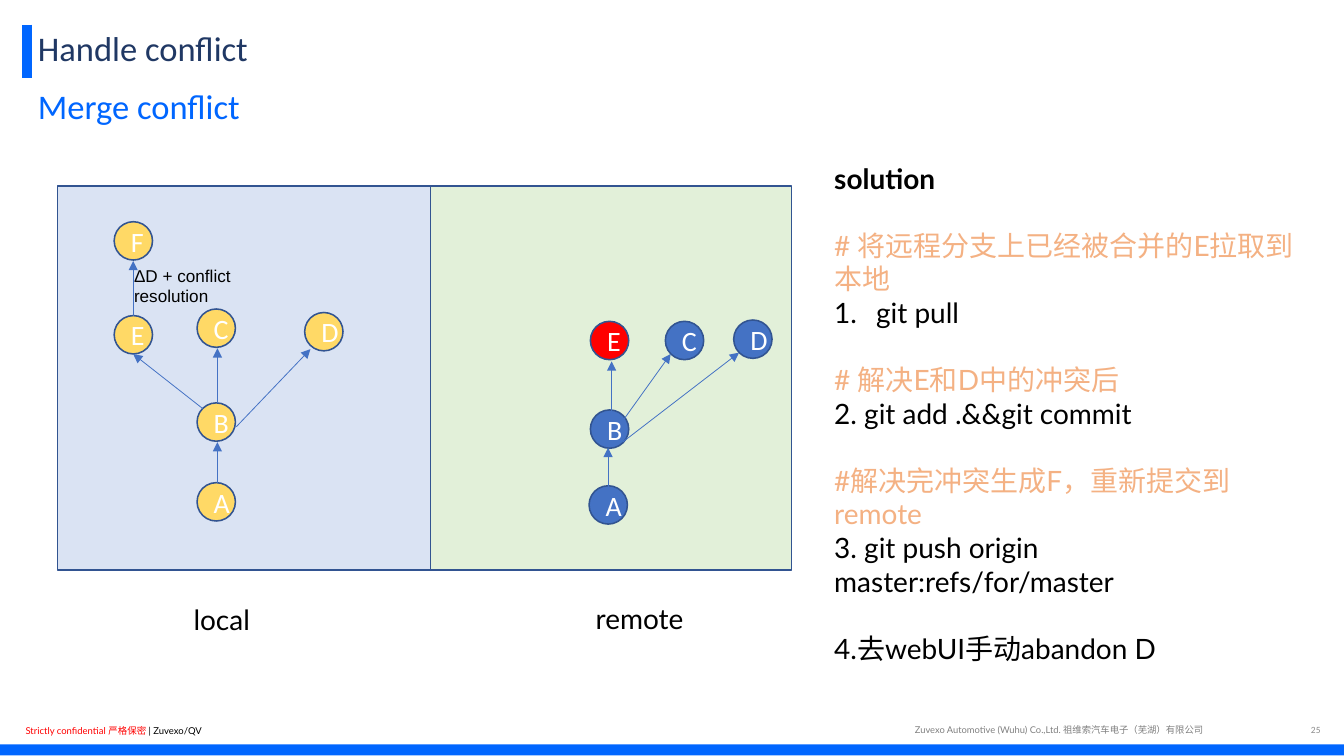
from lxml.etree import SubElement
from pptx import Presentation
from pptx.dml.color import RGBColor
from pptx.enum.shapes import MSO_CONNECTOR as Line, MSO_SHAPE as Shape
from pptx.enum.text import MSO_ANCHOR as Anchor, PP_ALIGN as Align
from pptx.oxml.ns import qn
from pptx.util import Cm, Pt

BLUE = RGBColor(0x00, 0x66, 0xFF)
NAVY = RGBColor(0x20, 0x38, 0x64)
OUTLINE = RGBColor(0x32, 0x54, 0x91)
NODE_BLUE = RGBColor(0x44, 0x72, 0xC4)
YELLOW = RGBColor(0xFF, 0xD9, 0x66)
RED = RGBColor(0xFF, 0x00, 0x00)
GREEN_PANEL = RGBColor(0xE2, 0xF0, 0xD9)
BLUE_PANEL = RGBColor(0xDA, 0xE3, 0xF3)
ORANGE = RGBColor(0xF4, 0xB1, 0x83)
GRAY = RGBColor(0x80, 0x80, 0x80)
LIGHT_GRAY = RGBColor(0x8C, 0x8C, 0x8C)
WHITE = RGBColor(0xFF, 0xFF, 0xFF)
BLACK = RGBColor(0x00, 0x00, 0x00)

NODE_SIZE = 0.87
PANEL_TOP, PANEL_HEIGHT = 4.22, 8.71
NODES = [
    ("A", 4.47, 10.95, YELLOW), ("B", 4.47, 9.14, YELLOW),
    ("C", 4.47, 7.01, YELLOW), ("D", 6.91, 7.09, YELLOW),
    ("E", 2.59, 7.16, YELLOW), ("F", 2.59, 5.03, YELLOW),
    ("A", 13.36, 11.02, NODE_BLUE), ("B", 13.39, 9.3, NODE_BLUE),
    ("E", 13.39, 7.29, RED), ("C", 15.09, 7.29, NODE_BLUE),
    ("D", 16.64, 7.26, NODE_BLUE),
]
ARROWS = [
    (4.93, 10.95, 4.93, 10.03), (4.93, 9.14, 4.93, 7.9),
    (5.36, 9.68, 7.04, 7.92), (4.6, 9.27, 3.02, 8.03),
    (3.02, 7.16, 3.02, 5.92), (13.79, 11.07, 13.79, 10.16),
    (13.87, 9.45, 13.87, 8.2), (14.1, 9.58, 15.21, 8.03),
    (14.12, 10.03, 16.76, 8),
]
STEPS = [
    ("# 将远程分支上已经被合并的E拉取到本地", "git pull"),
    ("# 解决E和D中的冲突后", "2. git add .&&git commit"),
    ("#解决完冲突生成F，重新提交到remote", "3. git push origin master:refs/for/master"),
]


def apply(target, values):
    for name, value in values.items():
        setattr(target, name, value)


def add_span(para, text, size, color, font="Lato", bold=False):
    span = para.add_run()
    span.text = text
    apply(span.font, {"size": Pt(size), "name": font, "bold": bold})
    span.font.color.rgb = color


def add_text(slide, bounds, spans, anchor=Anchor.TOP, **layout):
    box = slide.shapes.add_textbox(*map(Cm, bounds))
    apply(box.text_frame, {"word_wrap": True, "vertical_anchor": anchor})
    para = box.text_frame.paragraphs[0]
    apply(para, layout)
    for span in spans:
        add_span(para, *span)
    return box.text_frame


def add_block(slide, kind, bounds, fill, outline=None):
    block = slide.shapes.add_shape(kind, *map(Cm, bounds))
    block.shadow.inherit = False
    block.fill.solid()
    block.fill.fore_color.rgb = fill
    if outline is None:
        block.line.fill.background()
    else:
        block.line.color.rgb = outline
        block.line.width = Pt(1)
    return block


def add_node(slide, letter, left, top, fill):
    node = add_block(slide, Shape.OVAL, (left, top, NODE_SIZE, NODE_SIZE), fill, OUTLINE)
    node.text_frame.vertical_anchor = Anchor.MIDDLE
    para = node.text_frame.paragraphs[0]
    para.alignment = Align.CENTER
    add_span(para, letter, 18, WHITE, "Calibri")


def add_line(slide, ends, color, width, arrow=False):
    line = slide.shapes.add_connector(Line.STRAIGHT, *map(Cm, ends))
    line.line.color.rgb = color
    line.line.width = Pt(width)
    if arrow:
        SubElement(line.line._get_or_add_ln(), qn("a:tailEnd"), type="triangle")
    SubElement(line._element.spPr, qn("a:effectLst"))


def number_paragraph(para):
    properties = para._p.get_or_add_pPr()
    properties.set("marL", str(Cm(0.95)))
    properties.set("indent", str(-Cm(0.95)))
    SubElement(properties, qn("a:buFont"), typeface="+mj-lt")
    SubElement(properties, qn("a:buAutoNum"), type="arabicPeriod")


def add_frame(slide):
    add_block(slide, Shape.RECTANGLE, (0, 16.89, 30.48, 0.25), BLUE)
    add_text(slide, (0.33, 16.33, 6.71, 0.51),
             [("Strictly confidential 严格保密 ", 6.1, RED), ("| Zuvexo/QV", 6.1, BLACK)])
    add_text(slide, (20.5, 16.31, 9.4, 0.51),
             [("Zuvexo Automotive (Wuhu) Co.,Ltd. 祖维索汽车电子（芜湖）有限公司", 6, GRAY)])
    add_text(slide, (28.78, 16.38, 1.42, 0.36), [("25", 6.1, LIGHT_GRAY, "Calibri")],
             Anchor.MIDDLE, alignment=Align.RIGHT)
    add_line(slide, (0.61, 0.56, 0.61, 1.78), BLUE, 6)
    add_text(slide, (0.61, 0.53, 24.38, 1.22), [("Handle conflict", 22.2, NAVY, "Calibri")],
             Anchor.MIDDLE, line_spacing=0.9)
    add_text(slide, (0.61, 1.78, 29.26, 1.22), [("Merge conflict", 22.2, BLUE, "Calibri")],
             Anchor.MIDDLE)


def add_graphs(slide):
    for left, width, fill in ((9.75, 8.2, GREEN_PANEL), (1.3, 8.46, BLUE_PANEL)):
        add_block(slide, Shape.RECTANGLE, (left, PANEL_TOP, width, PANEL_HEIGHT), fill, OUTLINE)
    for node in NODES:
        add_node(slide, *node)
    for ends in ARROWS:
        add_line(slide, ends, NODE_BLUE, 0.5, arrow=True)
    for name, left, top in (("local", 4.14, 13.54), ("remote", 13.26, 13.51)):
        add_text(slide, (left, top, 3.63, 1.02), [(name, 18, BLACK)])
    note = add_text(slide, (2.79, 5.89, 5.44, 1.19), [("ΔD + conflict", 11, BLACK, "Arial")])
    add_span(note.add_paragraph(), "resolution", 11, BLACK, "Arial")


def add_solution(slide):
    frame = add_text(slide, (18.67, 3.53, 11.07, 10.26), [("solution", 18, BLACK, "Lato", True)])
    for index, (comment, command) in enumerate(STEPS):
        para = frame.add_paragraph()
        para.space_before = Pt(21.6)
        add_span(para, comment, 18, ORANGE)
        para = frame.add_paragraph()
        if index == 0:
            number_paragraph(para)
        add_span(para, command, 18, BLACK)
    para = frame.add_paragraph()
    para.space_before = Pt(21.6)
    add_span(para, "4.去webUI手动abandon D", 18, BLACK)


def main():
    """Build the merge conflict slide and save it."""
    deck = Presentation()
    apply(deck, {"slide_width": Cm(30.48), "slide_height": Cm(17.15)})
    slide = deck.slides.add_slide(deck.slide_layouts[6])
    add_frame(slide)
    add_graphs(slide)
    add_solution(slide)
    deck.save("out.pptx")


if __name__ == "__main__":
    main()
